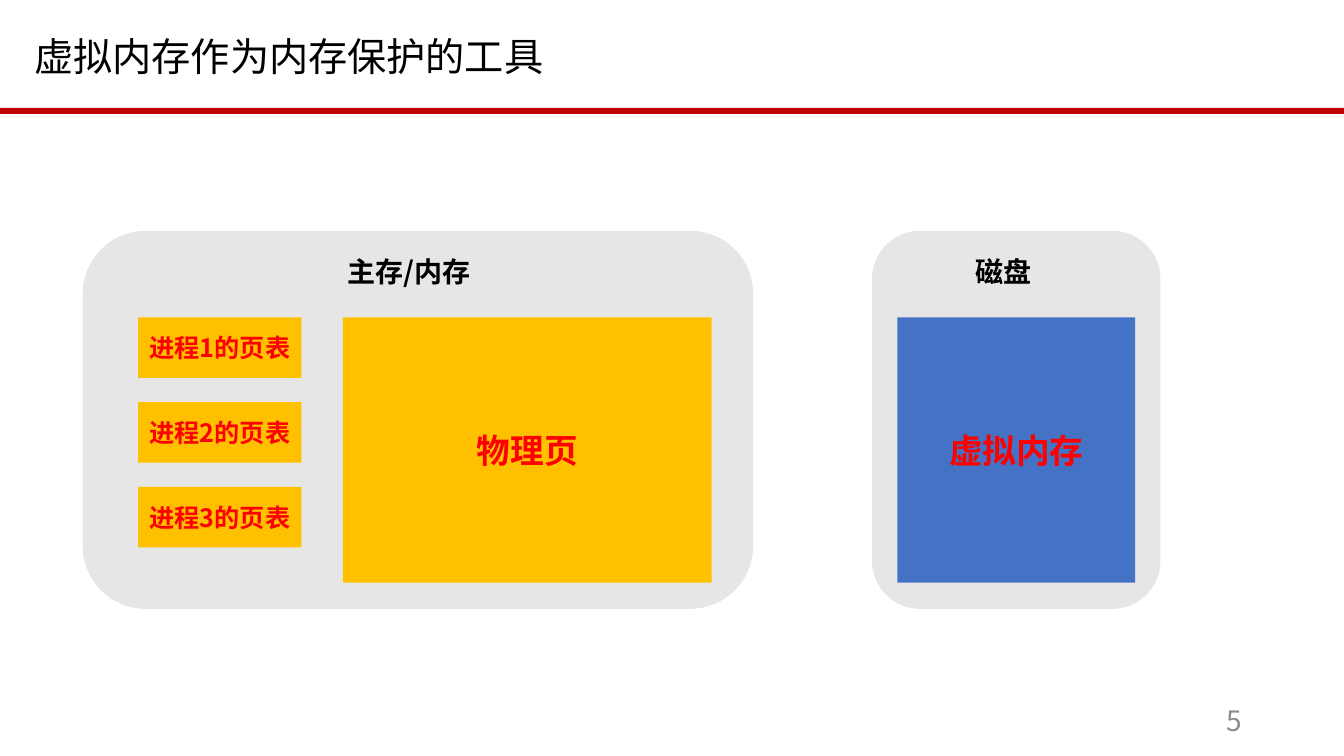
"""Builds the slide on virtual memory as a memory protection tool."""
from lxml.etree import SubElement
from pptx import Presentation
from pptx.dml.color import RGBColor
from pptx.enum.shapes import MSO_SHAPE
from pptx.enum.text import MSO_ANCHOR, PP_ALIGN
from pptx.oxml.ns import qn
from pptx.util import Inches, Pt

BLACK = RGBColor(0x00, 0x00, 0x00)
GRAY = RGBColor(0x8C, 0x8C, 0x8C)
LIGHT = RGBColor(0xE7, 0xE6, 0xE6)
DARK_RED = RGBColor(0xC0, 0x00, 0x00)
RED = RGBColor(0xFF, 0x00, 0x00)
AMBER = RGBColor(0xFF, 0xC0, 0x00)
BLUE = RGBColor(0x44, 0x72, 0xC4)


class MemorySlide:
    font_name = "Noto Sans CJK SC"

    def __init__(self, deck):
        self.page = deck.slides.add_slide(deck.slide_layouts[5])

    def fill_text(self, box, text, size, color, bold=False,
                  align=PP_ALIGN.LEFT, anchor=MSO_ANCHOR.TOP):
        frame = box.text_frame
        for name, value in {"word_wrap": True, "vertical_anchor": anchor}.items():
            setattr(frame, name, value)
        para = frame.paragraphs[0]
        para.alignment = align
        span = para.add_run()
        span.text = text
        look = {"name": self.font_name, "size": Pt(size), "bold": bold}
        for name, value in look.items():
            setattr(span.font, name, value)
        span.font.color.rgb = color
        east_asian = SubElement(span.font._element, qn("a:ea"))
        east_asian.set("typeface", self.font_name)

    def title(self, text, *place):
        box = self.page.shapes.title
        for name, value in zip(("left", "top", "width", "height"), place):
            setattr(box, name, Inches(value))
        self.fill_text(box, text, 28, BLACK, anchor=MSO_ANCHOR.MIDDLE)

    def label(self, text, place, size=20, color=BLACK, **style):
        box = self.page.shapes.add_textbox(*map(Inches, place))
        self.fill_text(box, text, size, color, **style)

    def block(self, place, fill, kind=MSO_SHAPE.RECTANGLE):
        box = self.page.shapes.add_shape(kind, *map(Inches, place))
        box.shadow.inherit = False
        box.fill.solid()
        box.fill.fore_color.rgb = fill
        box.line.fill.background()
        return box

    def region(self, heading, left, width, text_left, text_width):
        self.block((left, 2.29, width, 3.75), LIGHT, MSO_SHAPE.ROUNDED_RECTANGLE)
        self.label(heading, (text_left, 2.48, text_width, 0.53), bold=True)

    def memory(self, text, place, fill, size):
        self.fill_text(self.block(place, fill), text, size, RED, bold=True,
                       align=PP_ALIGN.CENTER, anchor=MSO_ANCHOR.MIDDLE)


def main():
    deck = Presentation()
    deck.slide_width, deck.slide_height = Inches(13.33), Inches(7.5)
    slide = MemorySlide(deck)
    slide.block((0, 1.07, 13.33, 0.06), DARK_RED)
    slide.title("虚拟内存作为内存保护的工具", 0.24, 0.17, 8.8, 0.76)
    slide.label("5", (9.42, 6.95, 3, 0.4), color=GRAY,
                align=PP_ALIGN.RIGHT, anchor=MSO_ANCHOR.MIDDLE)
    slide.region("主存/内存", 0.82, 6.65, 3.35, 2.84)
    slide.region("磁盘", 8.65, 2.86, 9.58, 0.99)
    for index in range(3):
        place = (1.37, 3.15 + 0.84 * index, 1.62, 0.6)
        slide.memory(f"进程{index + 1}的页表", place, AMBER, 18)
    slide.memory("物理页", (3.4, 3.15, 3.66, 2.63), AMBER, 24)
    slide.memory("虚拟内存", (8.9, 3.15, 2.36, 2.63), BLUE, 24)
    deck.save("out.pptx")


if __name__ == "__main__":
    main()
